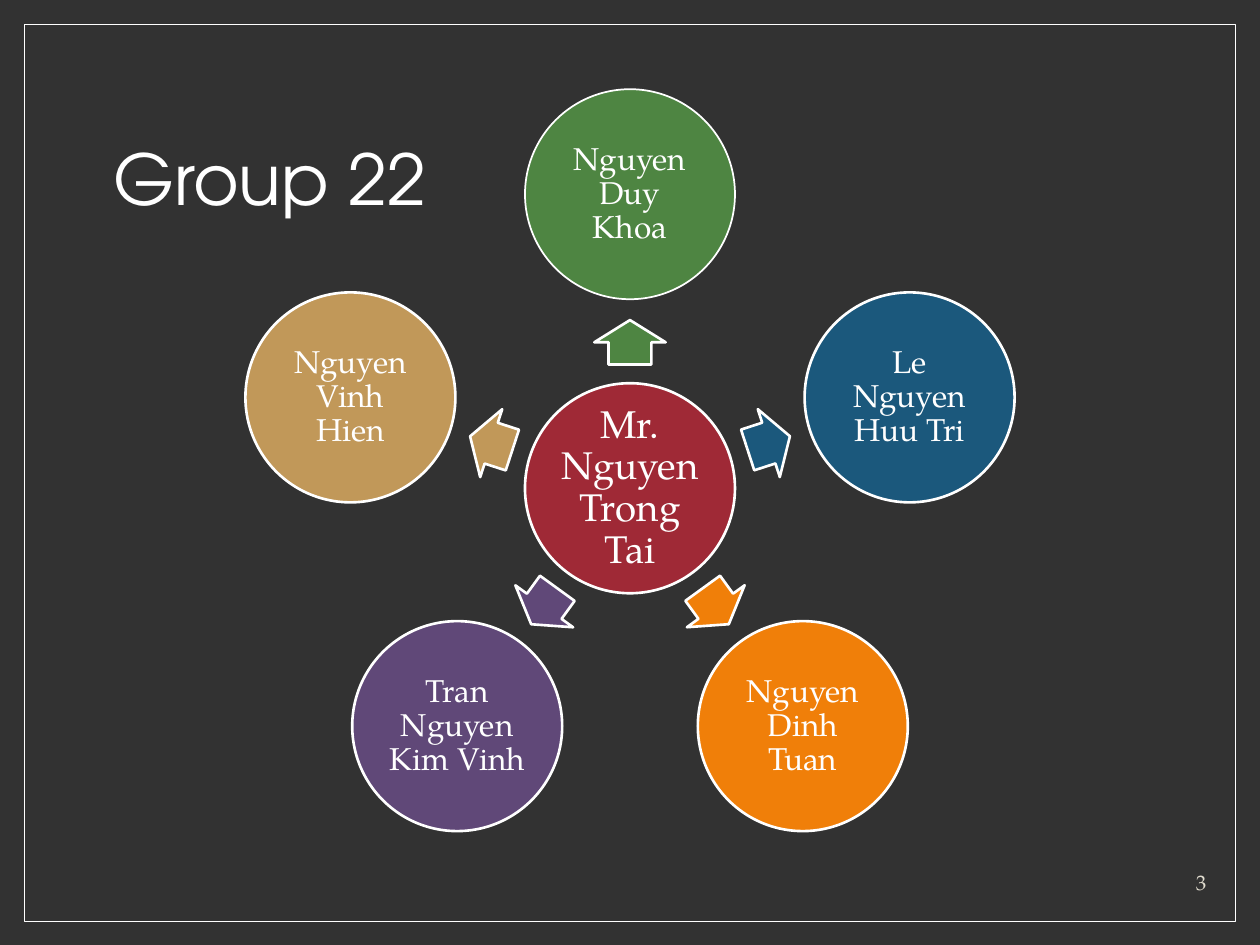
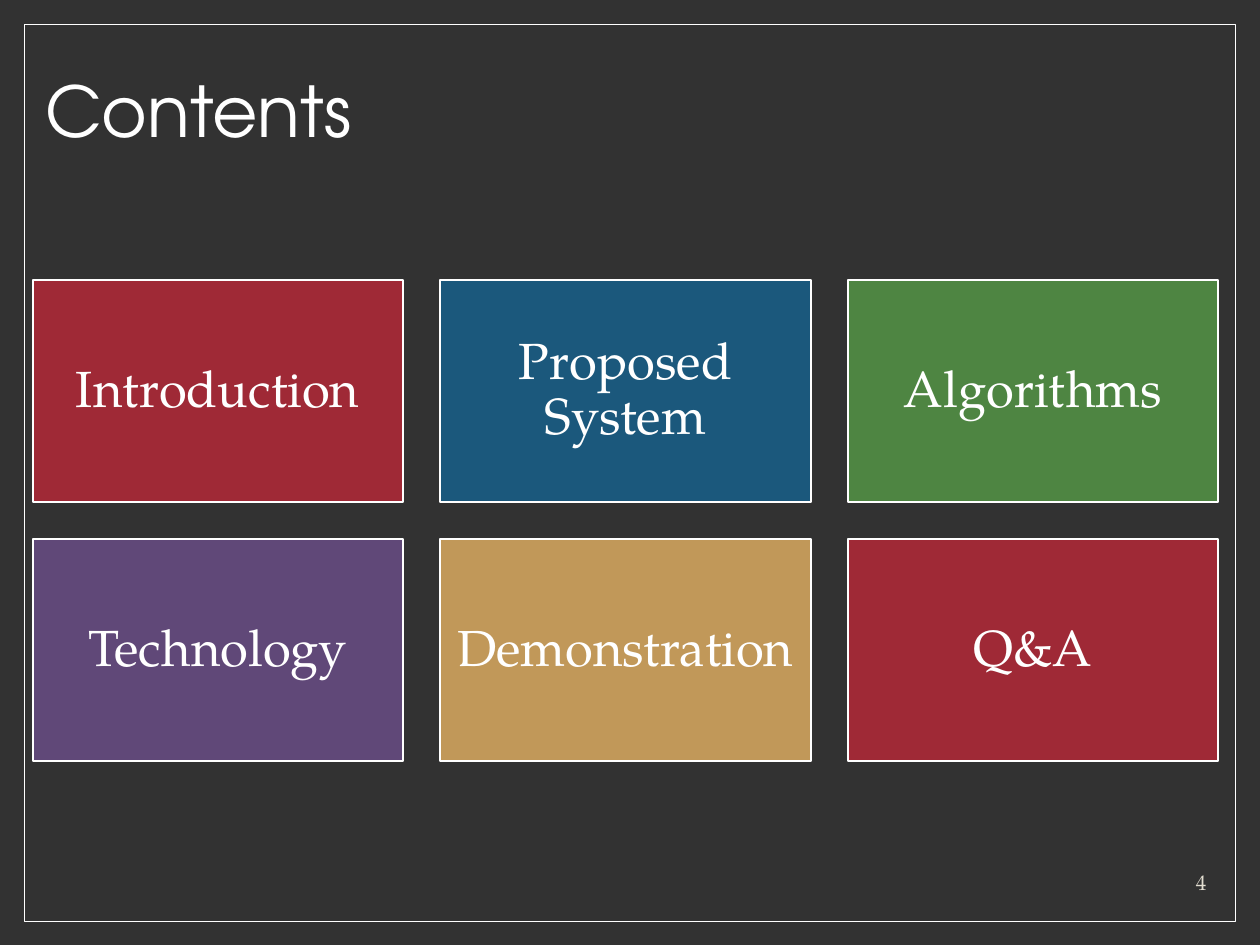
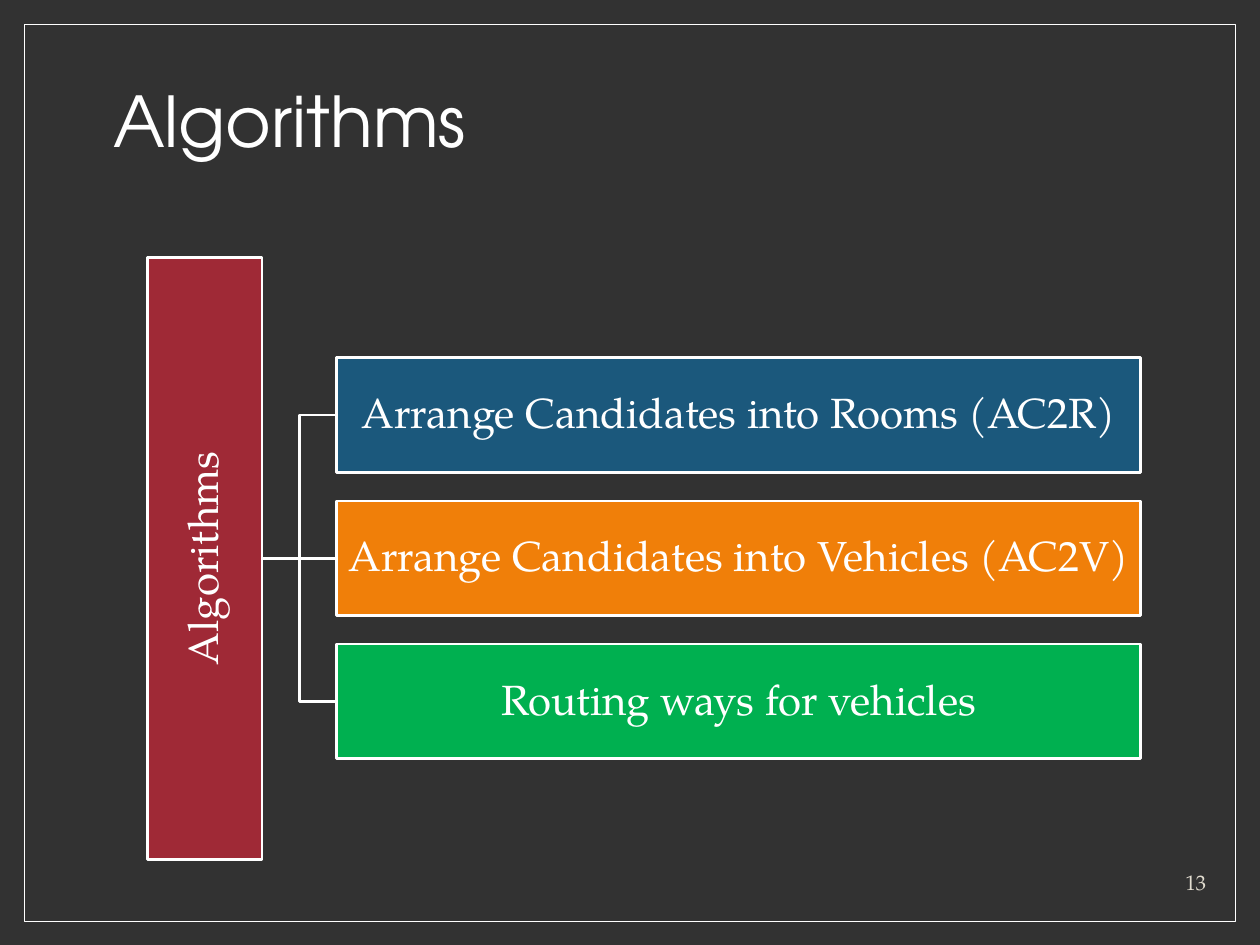
"""Builds three dark slides: a team ring, a contents grid and a list of algorithms."""
from math import cos, radians, sin

from lxml import etree
from pptx import Presentation
from pptx.dml.color import RGBColor
from pptx.enum.shapes import MSO_CONNECTOR, MSO_SHAPE
from pptx.enum.text import MSO_ANCHOR, PP_ALIGN
from pptx.oxml.ns import qn
from pptx.util import Pt

RECT, OVAL, ARROW = MSO_SHAPE.RECTANGLE, MSO_SHAPE.OVAL, MSO_SHAPE.RIGHT_ARROW
ELBOW, LINE = MSO_CONNECTOR.ELBOW, MSO_CONNECTOR.STRAIGHT
LEFT, CENTER, RIGHT = PP_ALIGN.LEFT, PP_ALIGN.CENTER, PP_ALIGN.RIGHT
MIDDLE, BOTTOM = MSO_ANCHOR.MIDDLE, MSO_ANCHOR.BOTTOM

HEAD, BODY = "TeX Gyre Adventor", "TeX Gyre Pagella"
COLORS = {
    "back": "323232", "white": "FFFFFF", "cream": "E3DED1",
    "red": "9F2936", "blue": "1B587C", "green": "4E8542",
    "orange": "F07F09", "purple": "604878", "tan": "C19859",
    "lime": "00B050",
}


def tint(name):
    return RGBColor.from_string(COLORS[name])


class Deck:
    def __init__(self):
        self.prs = Presentation()
        self.prs.slide_width, self.prs.slide_height = Pt(720), Pt(540)
        self.slide = None

    def page(self, title, number, box):
        self.slide = self.prs.slides.add_slide(self.prs.slide_layouts[6])
        fill = self.slide.background.fill
        fill.solid()
        fill.fore_color.rgb = tint("back")
        self.shape(RECT, 14, 14, 692, 512.6, None, 0.5)
        self.label(title, box, 40, HEAD, "white", LEFT, MIDDLE, 0.9)
        self.label(str(number), (610, 493, 86.4, 21.6), 12, BODY, "cream",
                   RIGHT, BOTTOM, 1)

    def label(self, text, box, size, face, color, align, anchor, lead):
        item = self.slide.shapes.add_textbox(*map(Pt, box))
        self.words(item, text, size, face, color, align, anchor, lead, (7.2, 3.6))

    def words(self, item, text, size, face, color, align, anchor, lead, pads):
        frame = item.text_frame
        frame.word_wrap = True
        frame.vertical_anchor = anchor
        frame.margin_left = frame.margin_right = Pt(pads[0])
        frame.margin_top = frame.margin_bottom = Pt(pads[1])
        para = frame.paragraphs[0]
        para.text = text
        para.alignment = align
        para.line_spacing = lead
        para.font.size = Pt(size)
        para.font.name = face
        para.font.color.rgb = tint(color)

    def shape(self, kind, x, y, w, h, color, width, turn=0):
        item = self.slide.shapes.add_shape(kind, Pt(x), Pt(y), Pt(w), Pt(h))
        item.shadow.inherit = False
        item.rotation = turn
        if color:
            item.fill.solid()
            item.fill.fore_color.rgb = tint(color)
        else:
            item.fill.background()
        item.line.color.rgb = tint("white")
        item.line.width = Pt(width)
        return item

    def block(self, kind, box, color, text, size, pad, width=1.5, turn=0):
        item = self.shape(kind, *box, color, width, turn)
        self.words(item, text, size, BODY, "white", CENTER, MIDDLE, 0.9, (pad, pad))

    def disc(self, x, y, color, text, size, width=1.5):
        side = 120
        box = (x - side / 2, y - side / 2, side, side)
        self.block(OVAL, box, color, text, size, 1.8, width)

    def arrow(self, x, y, turn, color):
        w, h = 25.4, 40.8
        item = self.shape(ARROW, x - w / 2, y - h / 2, w, h, color, 1.5, turn)
        item.adjustments[0] = 0.6

    def link(self, kind, *ends):
        item = self.slide.shapes.add_connector(kind, *map(Pt, ends))
        item.line.color.rgb = tint("white")
        item.line.width = Pt(1.5)
        etree.SubElement(item._element.spPr, qn("a:effectLst"))


def team(deck):
    deck.page("Group 22", 3, (57.6, 50.4, 604.8, 108))
    x, y = 360, 279
    deck.disc(x, y, "red", "Mr. Nguyen Trong Tai", 22)
    people = [("Nguyen Duy Khoa", "green", 1), ("Le Nguyen Huu Tri", "blue", 1.5),
              ("Nguyen Dinh Tuan", "orange", 1.5),
              ("Tran Nguyen Kim Vinh", "purple", 1.5),
              ("Nguyen Vinh Hien", "tan", 1.5)]
    for i, (name, color, width) in enumerate(people):
        turn = (270 + i * 360 / len(people)) % 360
        dx, dy = cos(radians(turn)), sin(radians(turn))
        deck.arrow(x + 83.4 * dx, y + 83.4 * dy, turn, color)
        deck.disc(x + 168 * dx, y + 168 * dy, color, name, 18, width)


def contents(deck):
    deck.page("Contents", 4, (18.7, 37.4, 684.7, 56.2))
    w, h, gap = 211.7, 127, 21.2
    topics = [("Introduction", "red"), ("Proposed System", "blue"),
              ("Algorithms", "green"), ("Technology", "purple"),
              ("Demonstration", "tan"), ("Q&A", "red")]
    for i, (name, color) in enumerate(topics):
        row, col = divmod(i, 3)
        box = (18.7 + col * (w + gap), 159.9 + row * (h + gap), w, h)
        deck.block(RECT, box, color, name, 29, 8.6, 1)


def methods(deck):
    deck.page("Algorithms", 13, (57.6, 17.3, 604.8, 108))
    mid, thick, long = 319, 65.5, 344
    root, left, step = 117, 192.3, 81.8
    steps = [("Arrange Candidates into Rooms (AC2R)", "blue"),
             ("Arrange Candidates into Vehicles (AC2V)", "orange"),
             ("Routing ways for vehicles", "lime")]
    for i, (name, color) in enumerate(steps):
        y = mid + (i - 1) * step
        deck.link(LINE if y == mid else ELBOW, root + thick / 2, mid, left, y)
        deck.block(RECT, (left, y - thick / 2, 459.5, thick), color, name, 24, 1.2)
    box = (root - long / 2, mid - thick / 2, long, thick)
    deck.block(RECT, box, "red", "Algorithms", 24, 1.2, turn=270)


def main():
    deck = Deck()
    team(deck)
    contents(deck)
    methods(deck)
    deck.prs.save("out.pptx")


if __name__ == "__main__":
    main()
